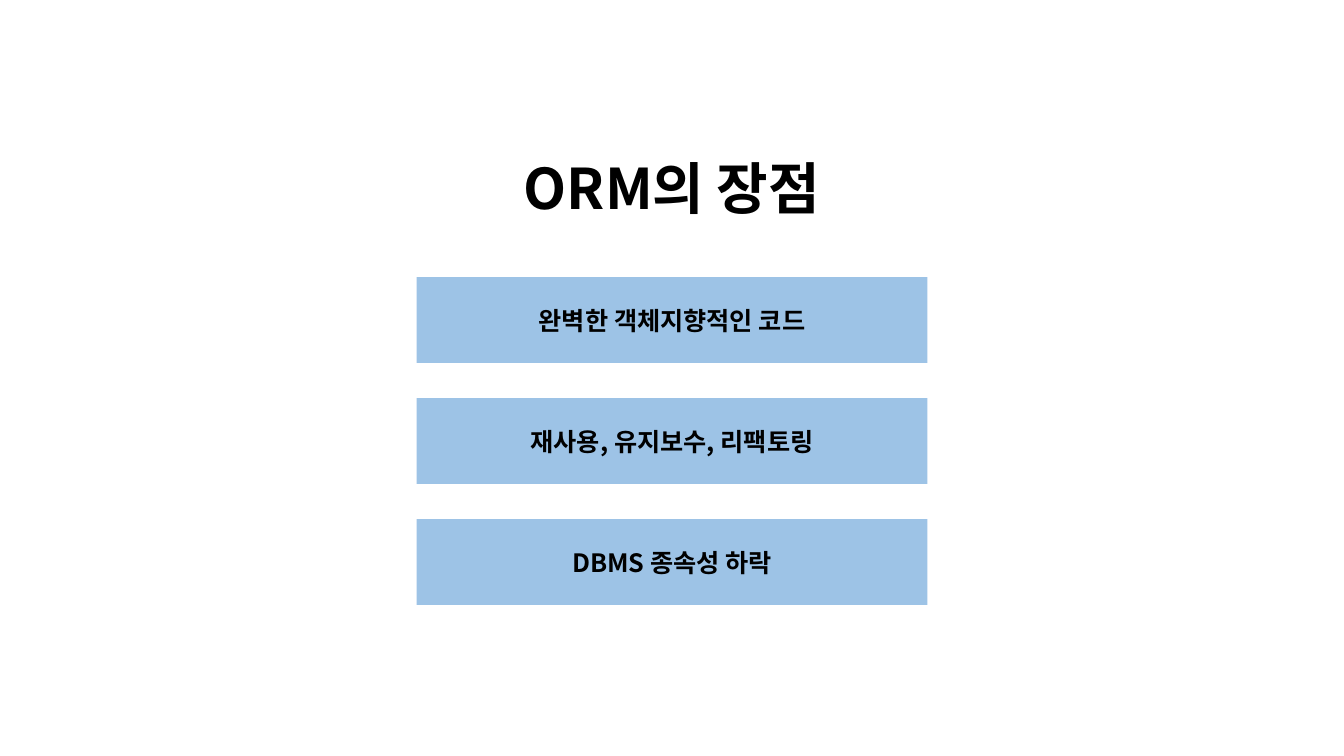
from dataclasses import dataclass

from lxml.etree import SubElement
from pptx import Presentation
from pptx.dml.color import RGBColor as Rgb
from pptx.enum.shapes import MSO_SHAPE as Form
from pptx.enum.text import MSO_ANCHOR as Anchor, PP_ALIGN as Align
from pptx.oxml.ns import qn
from pptx.shapes.base import BaseShape as Shape
from pptx.util import Inches, Pt


@dataclass(frozen=True)
class Theme:
    font: str = "Noto Sans CJK KR"
    ink: Rgb = Rgb(0, 0, 0)
    bar: Rgb = Rgb(0x9D, 0xC3, 0xE6)
    head: int = 40
    body: int = 18


@dataclass(frozen=True)
class Band:
    """Centred band: width as a share of the slide, top and height in rows."""
    text: str
    wide: float
    top: int
    tall: int


theme = Theme()

# Slide, with 150 rows of equal height
deck = Presentation()
deck.slide_width, deck.slide_height = Inches(13.333), Inches(7.5)
slide = deck.slides.add_slide(deck.slide_layouts[6])
row = deck.slide_height // 150


def place(band: Band) -> tuple[int, int, int, int]:
    wide = int(deck.slide_width * band.wide)
    left = (deck.slide_width - wide) // 2
    return left, band.top * row, wide, band.tall * row


def write(shape: Shape, text: str, size: int, line: float = 1.0) -> None:
    frame = shape.text_frame
    frame.word_wrap = True
    frame.vertical_anchor = Anchor.MIDDLE
    para = frame.paragraphs[0]
    para.alignment, para.line_spacing = Align.CENTER, line
    run = para.add_run()
    run.text = text
    style = {"name": theme.font, "size": Pt(size), "bold": True}
    for key, value in style.items():
        setattr(run.font, key, value)
    run.font.color.rgb = theme.ink
    # Hangul takes the East Asian typeface
    SubElement(run.font._element, qn("a:ea"), typeface=theme.font)


def draw_bar(band: Band) -> None:
    shape = slide.shapes.add_shape(Form.RECTANGLE, *place(band))
    shape.shadow.inherit = False
    shape.fill.solid()
    shape.fill.fore_color.rgb = theme.bar
    shape.line.fill.background()
    write(shape, band.text, theme.body)


# Title
title = Band("ORM의 장점", 0.79, 28, 20)
write(slide.shapes.add_textbox(*place(title)), title.text, theme.head, 0.9)

# Benefits, one bar every 24 rows
gains = ["완벽한 객체지향적인 코드", "재사용, 유지보수, 리팩토링", "DBMS 종속성 하락"]
for i, gain in enumerate(gains):
    draw_bar(Band(gain, 0.38, 55 + 24 * i, 17))

deck.save("out.pptx")
